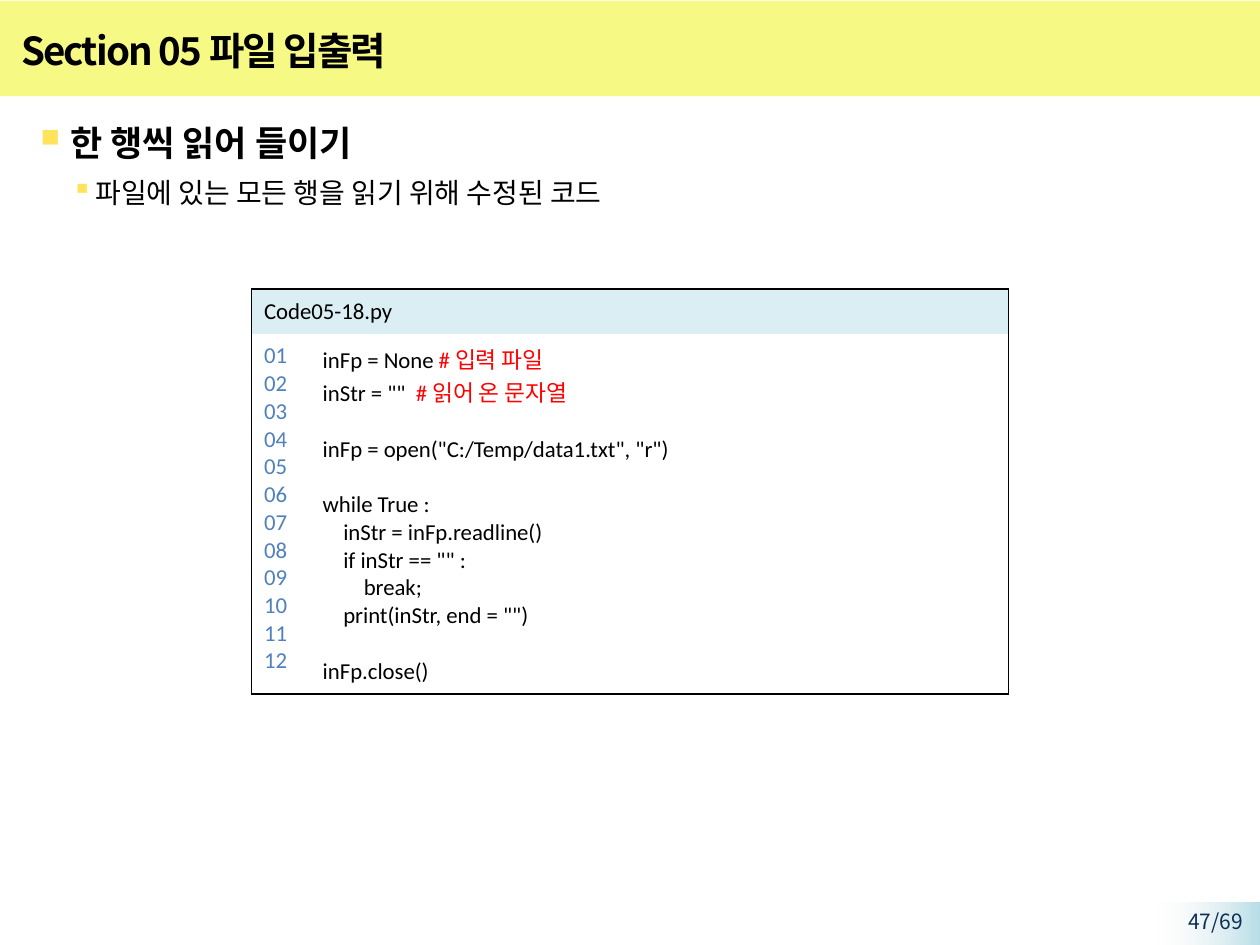
"""Build the slide on reading a file line by line in Python."""
from lxml.etree import SubElement
from pptx import Presentation
from pptx.dml.color import RGBColor
from pptx.enum.shapes import MSO_SHAPE
from pptx.enum.text import MSO_ANCHOR, PP_ALIGN
from pptx.oxml.ns import qn
from pptx.util import Pt

BLACK = RGBColor(0x00, 0x00, 0x00)
RED = RGBColor(0xFF, 0x00, 0x00)
YELLOW = RGBColor(0xF6, 0xF9, 0x83)
BULLET_YELLOW = RGBColor(0xFF, 0xE4, 0x5B)
NAVY = RGBColor(0x0F, 0x2E, 0x53)
PALE_BLUE = RGBColor(0xDB, 0xEE, 0xF4)
NUMBER_BLUE = RGBColor(0x4F, 0x81, 0xBD)
TAB_BLUE = RGBColor(0xB7, 0xDE, 0xE8)
TAB_GRAY = RGBColor(0xF2, 0xF2, 0xF2)
KOREAN_FONT = "Noto Sans CJK KR"
CODE_FONT = "Calibri"
CODE_LINE = 15.87
NO_STYLE = "{2D5ABB26-0587-4C30-8999-92F81FD0307C}"


def write_text(paragraph, text, size=13, color=BLACK, bold=False, font=CODE_FONT, spacing=None):
    run = paragraph.add_run()
    run.text = text
    run.font.size = Pt(size)
    run.font.bold = bold
    run.font.color.rgb = color
    run.font.name = font
    properties = run.font._element
    SubElement(properties, qn("a:ea"), typeface=KOREAN_FONT)
    if spacing is not None:
        properties.set("spc", str(spacing * 100))


def set_borders(cell, visible):
    properties = cell._tc.get_or_add_tcPr()
    for index, side in enumerate("LRTB"):
        line = properties.makeelement(qn(f"a:ln{side}"), {"w": str(Pt(1))})
        if side in visible:
            fill = SubElement(line, qn("a:solidFill"))
            SubElement(fill, qn("a:srgbClr"), val=str(BLACK))
        else:
            SubElement(line, qn("a:noFill"))
        properties.insert(index, line)


presentation = Presentation()
presentation.slide_width = Pt(720)
presentation.slide_height = Pt(540)
slide = presentation.slides.add_slide(presentation.slide_layouts[6])

title_band = slide.shapes.add_shape(MSO_SHAPE.RECTANGLE, Pt(0), Pt(0.5), Pt(720), Pt(54.5))
title_band.fill.solid()
title_band.fill.fore_color.rgb = YELLOW

page_tab = slide.shapes.add_shape(MSO_SHAPE.RECTANGLE, Pt(662.5), Pt(515.5), Pt(57.5), Pt(24.5))
page_tab.fill.gradient()
page_tab.fill.gradient_angle = 180
for stop, color, position in zip(page_tab.fill.gradient_stops, (TAB_BLUE, TAB_GRAY), (0, 1)):
    stop.color.rgb = color
    stop.position = position
SubElement(list(page_tab._element.spPr.iter(qn("a:srgbClr")))[-1], qn("a:alpha"), val="0")

for shape in (title_band, page_tab):
    shape.line.fill.background()
    shape.shadow.inherit = False

page_box = slide.shapes.add_textbox(Pt(651.5), Pt(515.5), Pt(66), Pt(16.5))
page_box.text_frame.word_wrap = True
paragraph = page_box.text_frame.paragraphs[0]
paragraph.alignment = PP_ALIGN.RIGHT
write_text(paragraph, "47/69", size=12, color=NAVY, font=KOREAN_FONT)

title_box = slide.shapes.add_textbox(Pt(5), Pt(10), Pt(613), Pt(37.5))
title_box.text_frame.word_wrap = True
title_box.text_frame.vertical_anchor = MSO_ANCHOR.MIDDLE
write_text(title_box.text_frame.paragraphs[0], "Section 05 파일 입출력",
           size=22, bold=True, font=KOREAN_FONT, spacing=-1)

body_box = slide.shapes.add_textbox(Pt(5), Pt(61), Pt(706), Pt(446.5))
body = body_box.text_frame
body.word_wrap = True
outline = [
    ("한 행씩 읽어 들이기", 20, True, 28, -21, 130, 0),
    ("파일에 있는 모든 행을 읽기 위해 수정된 코드", 16, False, 42.5, -13.5, 100, 3.2),
]
for level, (text, size, bold, margin, indent, bullet_size, gap) in enumerate(outline):
    paragraph = body.add_paragraph() if level else body.paragraphs[0]
    paragraph.level = level
    paragraph.line_spacing = 1.2
    paragraph.space_before = Pt(gap)
    properties = paragraph._p.get_or_add_pPr()
    properties.set("marL", str(Pt(margin)))
    properties.set("indent", str(Pt(indent)))
    bullet_color = SubElement(properties, qn("a:buClr"))
    SubElement(bullet_color, qn("a:srgbClr"), val=str(BULLET_YELLOW))
    SubElement(properties, qn("a:buSzPct"), val=str(bullet_size * 1000))
    SubElement(properties, qn("a:buChar"), char="▪")
    write_text(paragraph, text, size=size, bold=bold, font=KOREAN_FONT)

table_frame = slide.shapes.add_table(2, 2, Pt(143.75), Pt(165), Pt(432.5), Pt(231))
table = table_frame.table
table._tbl.tblPr.find(qn("a:tableStyleId")).text = NO_STYLE
table.first_row = False
table.horz_banding = False
for column, width in zip(table.columns, (33.5, 399)):
    column.width = Pt(width)
for row, height in zip(table.rows, (25, 206)):
    row.height = Pt(height)

header, numbers, code = table.cell(0, 0), table.cell(1, 0), table.cell(1, 1)
header.merge(table.cell(0, 1))
for cell, visible in ((header, "LRT"), (table.cell(0, 1), "RT"), (numbers, "LB"), (code, "RB")):
    cell.margin_left = cell.margin_right = Pt(7.2)
    cell.margin_top = cell.margin_bottom = Pt(5)
    cell.fill.background()
    set_borders(cell, visible)
header.fill.solid()
header.fill.fore_color.rgb = PALE_BLUE
write_text(header.text_frame.paragraphs[0], "Code05-18.py")

code_lines = [
    ("inFp = None ", "# 입력 파일"),
    ('inStr = ""  ', "# 읽어 온 문자열"),
    None,
    ('inFp = open("C:/Temp/data1.txt", "r")', ""),
    None,
    ("while True :", ""),
    ("    inStr = inFp.readline()", ""),
    ('    if inStr == "" :', ""),
    ("        break;", ""),
    ('    print(inStr, end = "")', ""),
    None,
    ("inFp.close()", ""),
]
for index, line in enumerate(code_lines):
    number_frame, code_frame = numbers.text_frame, code.text_frame
    paragraph = number_frame.add_paragraph() if index else number_frame.paragraphs[0]
    write_text(paragraph, f"{index + 1:02d}", color=NUMBER_BLUE)
    if line is None:
        continue
    statement, comment = line
    paragraph = code_frame.add_paragraph() if index else code_frame.paragraphs[0]
    if index and code_lines[index - 1] is None:
        paragraph.space_before = Pt(CODE_LINE)
    write_text(paragraph, statement)
    if comment:
        write_text(paragraph, comment, color=RED)

presentation.save("out.pptx")
